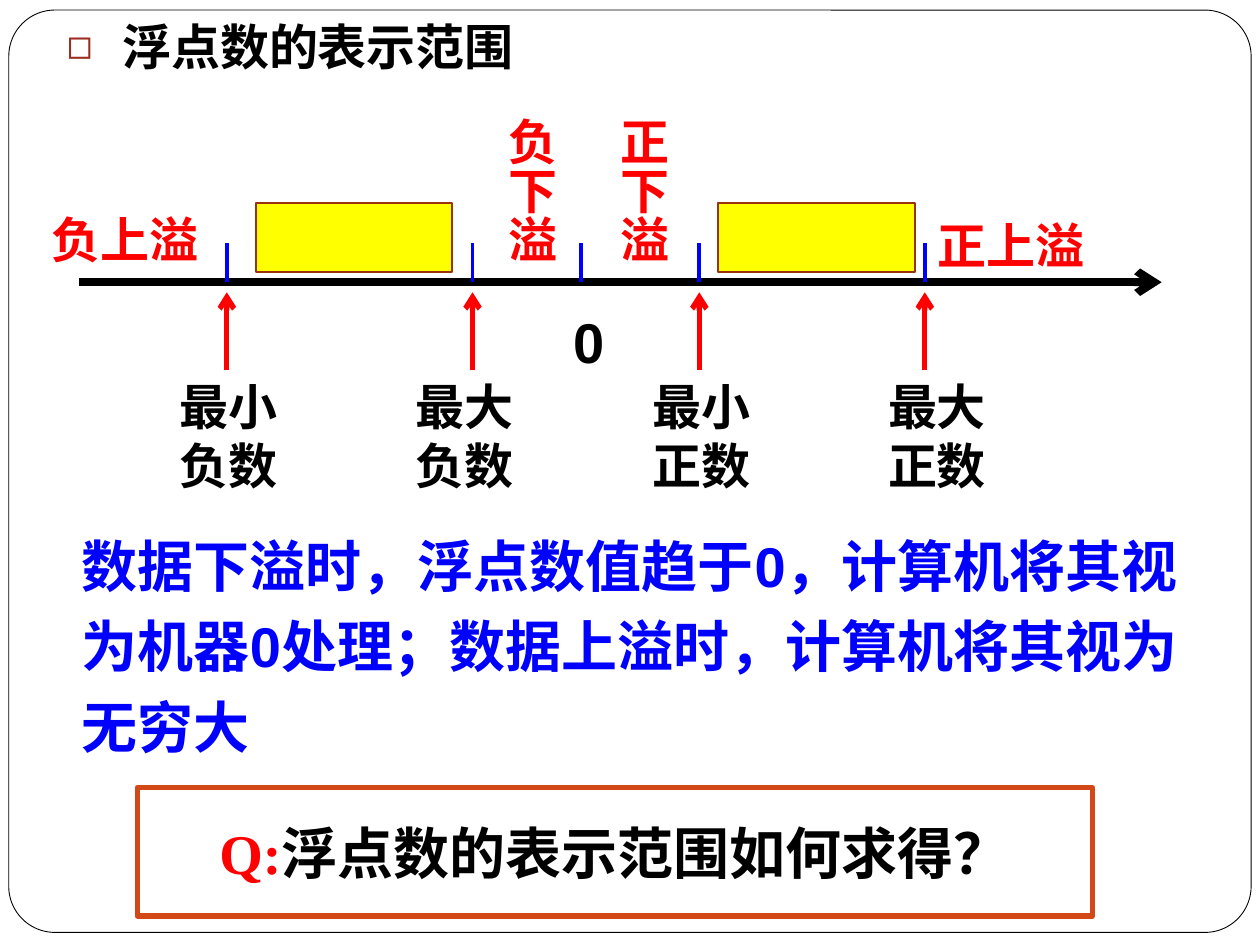
from lxml.etree import SubElement
from pptx import Presentation
from pptx.dml.color import RGBColor
from pptx.enum.shapes import MSO_CONNECTOR as CONNECTOR, MSO_SHAPE as SHAPE
from pptx.enum.text import MSO_ANCHOR as ANCHOR, MSO_AUTO_SIZE as AUTO, PP_ALIGN as ALIGN
from pptx.oxml.ns import qn
from pptx.util import Inches, Pt

BLACK, RED, BLUE, YELLOW, WHITE = "000000", "FF0000", "0000FF", "FFFF00", "FFFFFF"
BROWN, ORANGE, BULLET = "9B320E", "D34817", "9B2D1F"
CJK, TIMES, ARIAL = "Noto Sans CJK SC", "Times New Roman", "Arial"


def rgb(value):
    return RGBColor.from_string(value)


class SlideBuilder:
    def __init__(self, slide):
        self.slide = slide
        self.shapes = slide.shapes

    def set_text(self, frame, runs, size, font=CJK, align=ALIGN.LEFT, spacing=1.0,
                 anchor=ANCHOR.TOP):
        """Fill a text frame with one paragraph of (text, colour) runs."""
        margins = {"margin_left": 0.1, "margin_right": 0.1,
                   "margin_top": 0.05, "margin_bottom": 0.05}
        for name, value in margins.items():
            setattr(frame, name, Inches(value))
        layout = {"word_wrap": True, "auto_size": AUTO.NONE, "vertical_anchor": anchor}
        for name, value in layout.items():
            setattr(frame, name, value)
        paragraph = frame.paragraphs[0]
        flow = {"alignment": align, "line_spacing": spacing, "space_before": Pt(0)}
        for name, value in flow.items():
            setattr(paragraph, name, value)
        for text, color in runs:
            run = paragraph.add_run()
            run.text = text
            for name, value in {"size": Pt(size), "bold": True, "name": font}.items():
                setattr(run.font, name, value)
            run.font.color.rgb = rgb(color)
            SubElement(run.font._element, qn("a:ea"), typeface=CJK)
        return paragraph

    def heading(self, text, left, top, width, height):
        body = self.slide.placeholders[1]
        place = {"left": left, "top": top, "width": width, "height": height}
        for name, value in place.items():
            setattr(body, name, Inches(value))
        paragraph = self.set_text(body.text_frame, [(text, BLACK)], 28, TIMES)
        props = paragraph._p.get_or_add_pPr()
        props.set("marL", str(Inches(0.44)))
        props.set("indent", str(-Inches(0.44)))
        SubElement(SubElement(props, qn("a:buClr")), qn("a:srgbClr"), val=BULLET)
        SubElement(props, qn("a:buSzPct"), val="85000")
        SubElement(props, qn("a:buChar"), char="◻")

    def label(self, text, left, top, width, height, color=BLACK, size=28,
              vertical=False, **style):
        box = self.shapes.add_textbox(*map(Inches, (left, top, width, height)))
        self.set_text(box.text_frame, [(text, color)], size, **style)
        if vertical:
            frame = box.text_frame
            frame._txBody.bodyPr.set("vert", "eaVert")
            frame.margin_left = frame.margin_right = Inches(0.05)
            frame.margin_top = frame.margin_bottom = Inches(0.1)

    def block(self, kind, left, top, width, height, line, weight, fill=None):
        shape = self.shapes.add_shape(kind, *map(Inches, (left, top, width, height)))
        shape.shadow.inherit = False
        if fill:
            shape.fill.solid()
            shape.fill.fore_color.rgb = rgb(fill)
        else:
            shape.fill.background()
        shape.line.color.rgb = rgb(line)
        shape.line.width = Pt(weight)
        return shape

    def line(self, x1, y1, x2, y2, color, weight, arrow=False):
        line = self.shapes.add_connector(CONNECTOR.STRAIGHT, *map(Inches, (x1, y1, x2, y2)))
        line.line.color.rgb = rgb(color)
        line.line.width = Pt(weight)
        if arrow:
            SubElement(line.line._get_or_add_ln(), qn("a:tailEnd"), type="arrow")
        SubElement(line._element.spPr, qn("a:effectLst"))


def main():
    deck = Presentation()
    deck.slide_width, deck.slide_height = Inches(10), Inches(7.5)
    slide = deck.slides.add_slide(deck.slide_layouts[1])
    title = slide.shapes.title._element
    title.getparent().remove(title)
    page = SlideBuilder(slide)

    # Page border, sent behind the heading
    border = page.block(SHAPE.ROUNDED_RECTANGLE, 0.07, 0.08, 9.86, 7.32, BLACK, 0.5, WHITE)
    border.adjustments[0] = 0.05
    slide.shapes._spTree.insert(2, border._element)
    page.heading("浮点数的表示范围", 0.43, 0.08, 9, 0.78)

    # Number axis with zero
    axis_y, zero_x = 2.24, 4.61
    page.line(0.63, axis_y, 9.22, axis_y, BLACK, 4.5, arrow=True)
    page.label("0", 4.45, 2.39, 0.7, 0.64, size=32, font=ARIAL)

    # Range limits: tick, arrow and caption
    limits = [("最小负数", 1.8, 1.33, 1.17), ("最大负数", 3.75, 3.2, 1.17),
              ("最小正数", 5.55, 5.08, 1.33), ("最大正数", 7.34, 6.95, 1.17)]
    for tick_x in [zero_x] + [limit[1] for limit in limits]:
        page.line(tick_x, 1.93, tick_x, axis_y, BLUE, 2.25)
    for caption, tick_x, left, width in limits:
        page.line(tick_x, 2.94, tick_x, 2.32, RED, 3, arrow=True)
        page.label(caption, left, 2.94, width, 1.04)

    # Overflow and underflow zones
    for zone, left, top in [("负上溢", 0.31, 1.61), ("正上溢", 7.34, 1.66)]:
        page.label(zone, left, top, 1.95, 0.57, RED)
    for zone, left in [("负下溢", 3.84), ("正下溢", 4.73)]:
        page.label(zone, left, 0.83, 0.66, 1.48, RED, vertical=True)

    # Representable ranges
    for range_x in (2.03, 5.7):
        page.block(SHAPE.RECTANGLE, range_x, 1.61, 1.56, 0.55, BROWN, 1, YELLOW)

    # Explanation and question
    page.label("数据下溢时，浮点数值趋于0，计算机将其视为机器0处理；"
               "数据上溢时，计算机将其视为无穷大",
               0.55, 4.06, 9.06, 2.02, BLUE, 32, font=ARIAL, spacing=1.2)
    question = page.block(SHAPE.RECTANGLE, 1.09, 6.25, 7.58, 1.02, ORANGE, 3)
    page.set_text(question.text_frame, [("Q:", RED), ("浮点数的表示范围如何求得？", BLACK)],
                  32, TIMES, ALIGN.CENTER, anchor=ANCHOR.MIDDLE)

    deck.save("out.pptx")


if __name__ == "__main__":
    main()
